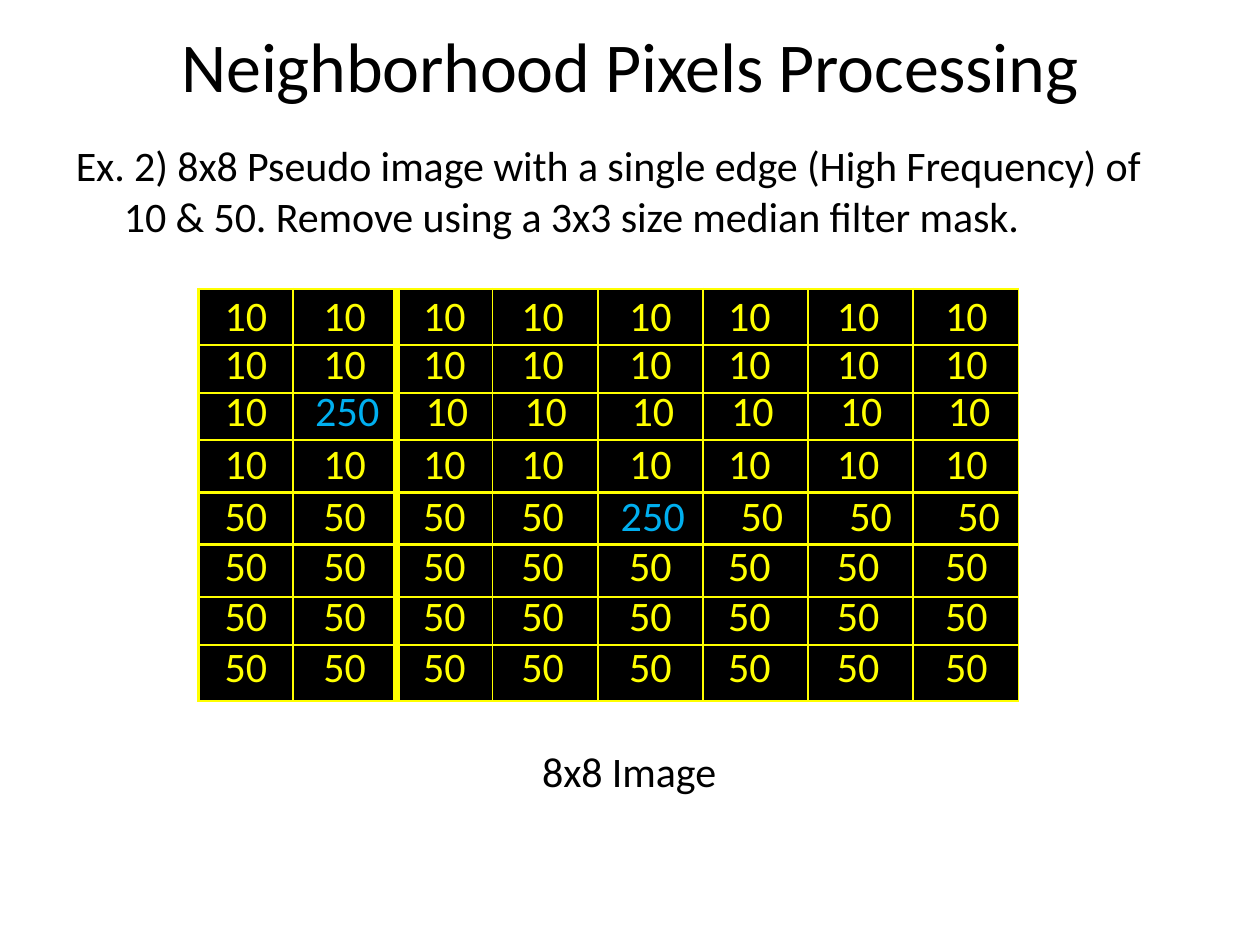
import pptx
import pptx.dml.color
import pptx.enum.text
import pptx.oxml.ns
import pptx.util
import lxml.etree

Cm = pptx.util.Cm
Pt = pptx.util.Pt
CENTER = pptx.enum.text.PP_ALIGN.CENTER
LEFT = pptx.enum.text.PP_ALIGN.LEFT

BLACK = pptx.dml.color.RGBColor(0x00, 0x00, 0x00)
YELLOW = pptx.dml.color.RGBColor(0xFF, 0xFF, 0x00)
BLUE = pptx.dml.color.RGBColor(0x00, 0xAF, 0xEF)


def write_text(frame, text, size=24, color=BLACK, align=LEFT, margin=0.0,
               indent=0.0, line_spacing=None, space_before=0, tracking=0):
    """Write one paragraph; margin and indent are in centimetres."""
    paragraph = frame.paragraphs[0]
    paragraph.alignment = align
    paragraph.space_before = Pt(space_before)
    if line_spacing:
        paragraph.line_spacing = Pt(line_spacing)
    properties = paragraph._p.get_or_add_pPr()
    properties.set("marL", str(Cm(margin)))
    properties.set("indent", str(Cm(indent)))
    run = paragraph.add_run()
    run.text = text
    run.font.size = Pt(size)
    run.font.name = "Calibri"
    run.font.color.rgb = color
    if tracking:
        run._r.get_or_add_rPr().set("spc", str(tracking))


def add_border(cell, side, width):
    """Draw one yellow cell border; side is L, R, T or B."""
    qn = pptx.oxml.ns.qn
    line = lxml.etree.SubElement(cell._tc.get_or_add_tcPr(), qn("a:ln" + side),
                                 w=str(Pt(width)))
    fill = lxml.etree.SubElement(line, qn("a:solidFill"))
    lxml.etree.SubElement(fill, qn("a:srgbClr"), val=str(YELLOW))


presentation = pptx.Presentation()
presentation.slide_width = Cm(25.4)
presentation.slide_height = Cm(19.05)
slide = presentation.slides.add_slide(presentation.slide_layouts[6])

# Title, exercise text and caption: left, top, width, height, text, format
texts = [
    (1.27, 0.43, 22.86, 1.75, "Neighborhood Pixels Processing",
     dict(size=40, align=CENTER, tracking=-10)),
    (1.5, 2.79, 21.62, 2.11,
     "Ex. 2) 8x8 Pseudo image with a single edge (High Frequency) of "
     "10 & 50. Remove using a 3x3 size median filter mask.",
     dict(margin=1.0, indent=-0.97, tracking=-6)),
    (10.9, 14.99, 3.58, 1.09, "8x8 Image", dict(margin=0.03, tracking=-5)),
]
for left, top, width, height, text, text_format in texts:
    shape = slide.shapes.add_textbox(Cm(left), Cm(top), Cm(width), Cm(height))
    frame = shape.text_frame
    frame.word_wrap = True
    frame.margin_left = frame.margin_right = frame.margin_bottom = 0
    frame.margin_top = Cm(0.03)
    write_text(frame, text, **text_format)

# Pixel values: a horizontal edge with two noise pixels
values = [[10] * 8 for _ in range(4)] + [[50] * 8 for _ in range(4)]
values[2][1] = values[4][4] = 250

column_widths = [1.91, 2.08, 1.94, 2.12, 2.12, 2.12, 2.12, 2.12]
column_margins = [0.53, None, None, 0.58, None, 0.51, 0.58, 0.64]  # None: centred
vertical_lines = [1.5, 1.5, 4.25, 1, 1, 1.5, 1.5, 1.5, 1]
# Row height, line spacing, top margin, space before
row_formats = [
    (1.14, None, 0.05, 1.4), (0.96, 26.1, 0, 0), (0.95, 25.9, 0, 0),
    (1.06, 28, 0.03, 1), (1.05, 28.6, 0, 0), (1.06, 27.6, 0, 0),
    (0.96, 26.1, 0, 0), (1.14, 28.1, 0, 0),
]
# Row: first shifted column, extra left margin
row_shifts = {2: (1, 0.06), 4: (4, 0.25)}

# Pixel table
shape = slide.shapes.add_table(8, 8, Cm(4), Cm(5.82), Cm(sum(column_widths)),
                               Cm(sum(row[0] for row in row_formats)))
table = shape.table
table.first_row = table.horz_banding = False
for column, width in zip(table.columns, column_widths):
    column.width = Cm(width)

for i, (height, spacing, top_margin, space_before) in enumerate(row_formats):
    table.rows[i].height = Cm(height)
    first_shifted, shift = row_shifts.get(i, (8, 0))
    for j, value in enumerate(values[i]):
        cell = table.cell(i, j)
        cell.margin_left = cell.margin_right = cell.margin_bottom = 0
        cell.margin_top = Cm(top_margin)
        centred = column_margins[j] is None
        margin = 0 if centred else column_margins[j]
        if j >= first_shifted:
            margin += 0.1 if centred else shift
        write_text(cell.text_frame, str(value),
                   color=BLUE if value == 250 else YELLOW,
                   align=CENTER if centred else LEFT, margin=margin,
                   line_spacing=spacing, space_before=space_before,
                   tracking=10 if value == 250 else 0)
        borders = [("L", vertical_lines[j]), ("R", vertical_lines[j + 1]),
                   ("T", 1.5), ("B", 1.5)]
        for side, width in borders:
            add_border(cell, side, width)
        cell.fill.solid()
        cell.fill.fore_color.rgb = BLACK

presentation.save("out.pptx")
